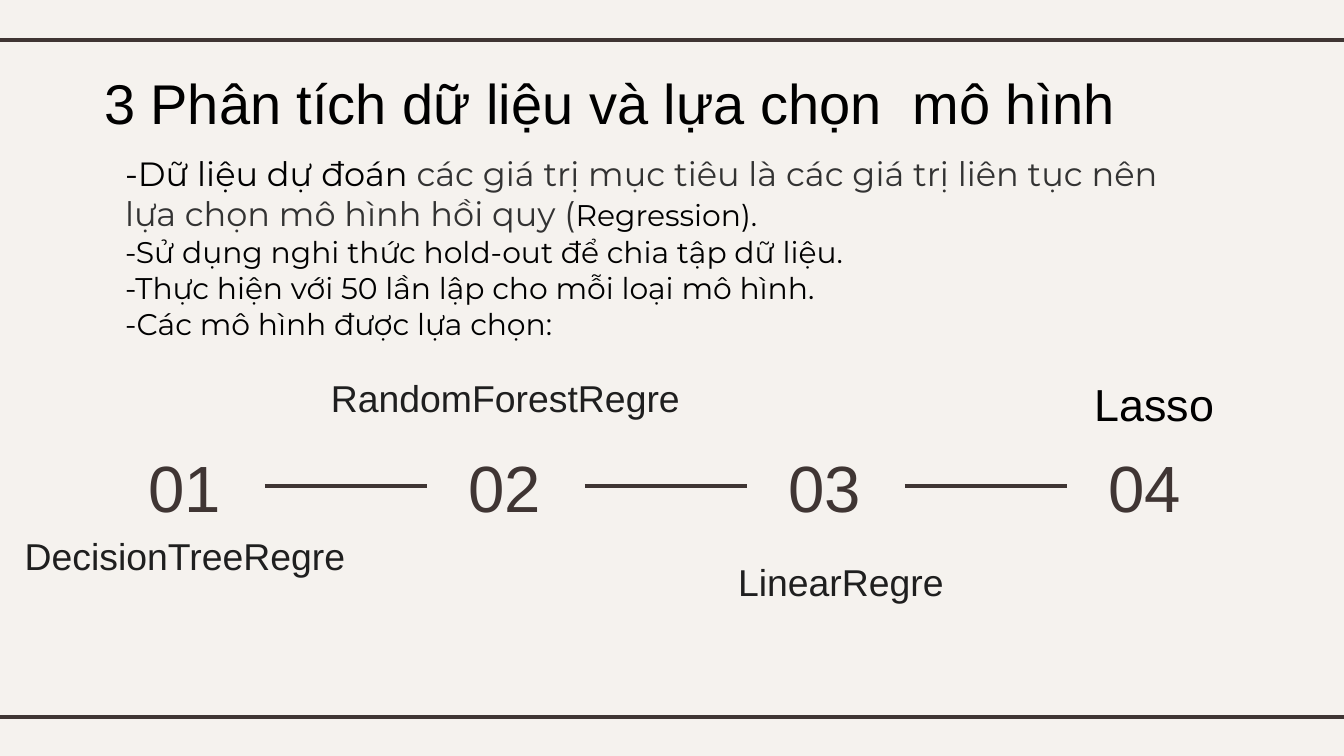
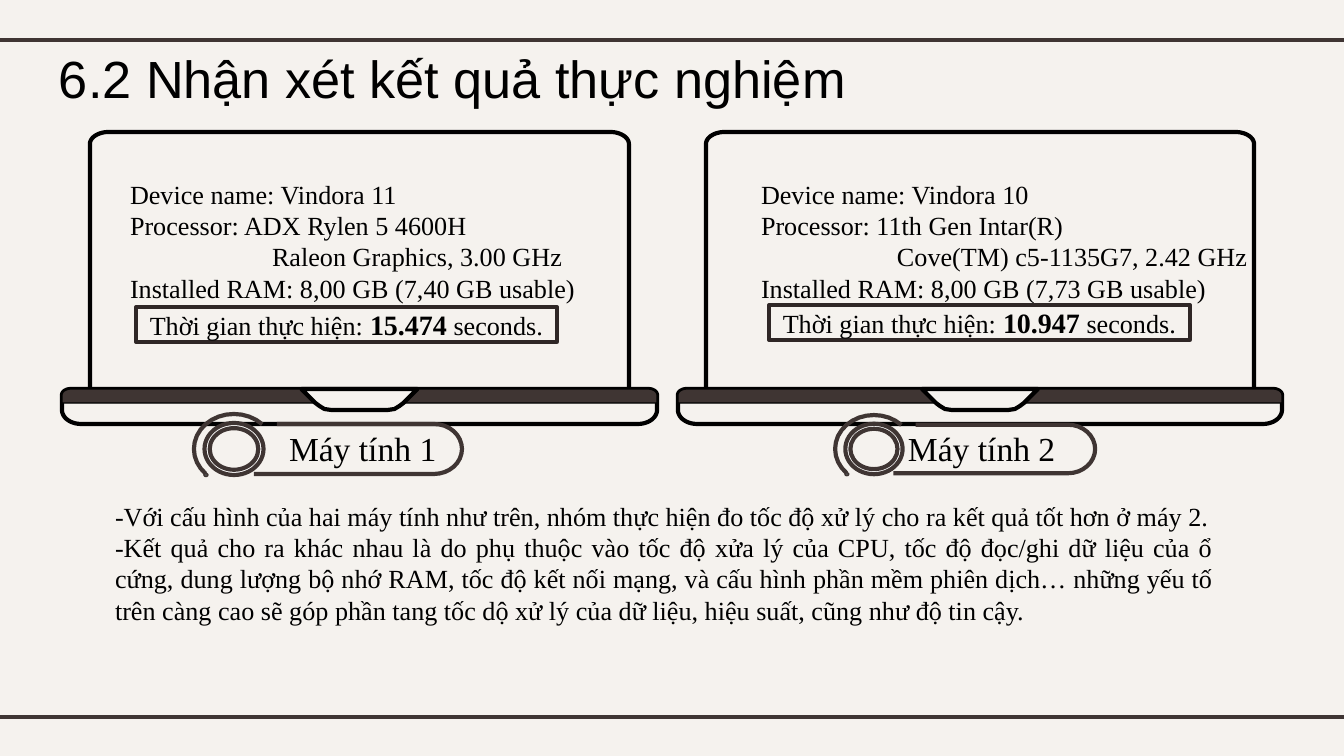
from math import cos, radians, sin

from lxml.etree import SubElement
from pptx import Presentation
from pptx.dml.color import RGBColor
from pptx.enum.shapes import MSO_CONNECTOR, MSO_SHAPE
from pptx.enum.text import MSO_ANCHOR, PP_ALIGN
from pptx.oxml.ns import qn
from pptx.util import Pt

SCALE = 914400 / 134.4
PAGE_WIDTH, PAGE_HEIGHT = 1344, 756
BAND_TOPS = (40, 717)
PAPER, BROWN, BLACK = "F5F2EE", "3F3533", "000000"
FRAME_BROWN, WHITE, DOT_GRAY = "2F2726", "FFFFFF", "545454"
TITLE = {"name": "Arial", "size": 30, "color": BLACK}
LABEL = {"name": "Arial", "size": 20, "color": "1F1F1F"}
NUMBER = {"name": "Arial", "size": 35, "color": BROWN}
INTRO = {"name": "Montserrat", "size": 16, "color": BLACK}
SERIF = {"name": "Times New Roman", "size": 14, "color": BLACK}
MIDDLE = {"vertical_anchor": MSO_ANCHOR.MIDDLE}

MODEL_TITLE = "3 Phân tích dữ liệu và lựa chọn  mô hình"
MODEL_INTRO = [
    [
        ("-Dữ liệu dự đoán ", {"size": 18}),
        (
            "các giá trị mục tiêu là các giá trị liên tục nên lựa chọn mô hình hồi quy (",
            {"size": 18, "color": "333333"},
        ),
        ("Regression).", {}),
    ],
    "-Sử dụng nghi thức hold-out để chia tập dữ liệu.",
    "-Thực hiện với 50 lần lập cho mỗi loại mô hình.",
    "-Các mô hình được lựa chọn:",
]
MODELS = [
    ("01", "DecisionTreeRegre", (0, 530, 370, 52), {}),
    ("02", "RandomForestRegre", (250, 359, 511, 77), {}),
    ("03", "LinearRegre", (644, 556, 394, 52), {}),
    ("04", "Lasso", (1028, 378, 253, 52), {"size": 24, "color": BLACK}),
]
FIRST_CENTER, MODEL_STEP = 185, 320

RESULT_TITLE = "6.2 Nhận xét kết quả thực nghiệm"
COMPUTERS = [
    {
        "name": "Máy tính 1",
        "name_left": 276,
        "laptop": (62, 595),
        "badge": (234, 449, 1),
        "specs_left": 40,
        "specs": [
            ("Device name: Vindora 11", 77),
            ("Processor: ADX Rylen 5 4600H", 77),
            ("Raleon Graphics, 3.00 GHz", 219),
            ("Installed RAM: 8,00 GB (7,40 GB usable)", 77),
        ],
        "time": "15.474",
        "time_at": (136, 307),
    },
    {
        "name": "Máy tính 2",
        "name_left": 895,
        "laptop": (678, 604),
        "badge": (874, 449, 0.97),
        "specs_left": 671,
        "specs": [
            ("Device name: Vindora 10", 77),
            ("Processor: 11th Gen Intar(R)", 77),
            ("Cove(TM) c5-1135G7, 2.42 GHz", 213),
            ("Installed RAM: 8,00 GB (7,73 GB usable)", 77),
        ],
        "time": "10.947",
        "time_at": (769, 305),
    },
]
REMARKS = [
    "-Với cấu hình của hai máy tính như trên, nhóm thực hiện đo tốc độ xử lý "
    "cho ra kết quả tốt hơn ở máy 2.",
    "-Kết quả cho ra khác nhau là do phụ thuộc vào tốc độ xửa lý của CPU, "
    "tốc độ đọc/ghi dữ liệu của ổ cứng, dung lượng bộ nhớ RAM, tốc độ kết nối mạng, "
    "và cấu hình phần mềm phiên dịch… những yếu tố trên càng cao sẽ góp phần tang "
    "tốc dộ xử lý của dữ liệu, hiệu suất, cũng như độ tin cậy.",
]


def px(length):
    return round(length * SCALE)


def color(value):
    return RGBColor.from_string(value)


def set_all(target, values):
    for name, value in values.items():
        setattr(target, name, value)


def write(frame, paras, font, align=PP_ALIGN.LEFT, inset=(13, 7), **frame_format):
    across, down = map(px, inset)
    set_all(frame, {
        "word_wrap": True,
        "vertical_anchor": MSO_ANCHOR.TOP,
        "margin_left": across,
        "margin_right": across,
        "margin_top": down,
        "margin_bottom": down,
        **frame_format,
    })
    for index, runs in enumerate(paras):
        para = frame.add_paragraph() if index else frame.paragraphs[0]
        para.alignment = align
        for text, changes in [(runs, {})] if isinstance(runs, str) else runs:
            span = para.add_run()
            span.text = text
            look = {**font, **changes}
            span.font.color.rgb = color(look.pop("color"))
            look["size"] = Pt(look["size"])
            set_all(span.font, look)


def add_text(page, at, paras, font, **options):
    box = page.shapes.add_textbox(*map(px, at))
    write(box.text_frame, paras, font, **options)
    return box


def add_title(page, at, text, size, inset):
    title = page.shapes.title
    set_all(title, dict(zip(("left", "top", "width", "height"), map(px, at))))
    write(title.text_frame, [text], {**TITLE, "size": size}, inset=inset)


def add_rule(page, left, right, top):
    rule = page.shapes.add_connector(MSO_CONNECTOR.STRAIGHT, *map(px, (left, top, right, top)))
    rule.line.color.rgb = color(BROWN)
    rule.line.width = Pt(2.25)
    SubElement(rule._element.spPr, qn("a:effectLst"))
    return rule


def paint(shape, fill, line, weight):
    shape.shadow.inherit = False
    if fill:
        shape.fill.solid()
        shape.fill.fore_color.rgb = color(fill)
    else:
        shape.fill.background()
    shape.line.color.rgb = color(line)
    shape.line.width = Pt(weight)


def add_preset(page, kind, at, fill, line, weight):
    shape = page.shapes.add_shape(kind, *map(px, at))
    paint(shape, fill, line, weight)
    return shape


def add_outline(page, points, fill=None, line=BLACK, weight=2.25, close=True):
    start, *rest = [(px(x), px(y)) for x, y in points]
    builder = page.shapes.build_freeform(*start)
    builder.add_line_segments(rest, close=close)
    paint(builder.convert_to_shape(), fill, line, weight)


def arc(center_x, center_y, radius_x, radius_y, start, sweep, steps=16):
    angles = [radians(start + sweep * step / steps) for step in range(steps + 1)]
    return [(center_x + radius_x * cos(a), center_y + radius_y * sin(a)) for a in angles]


def mirrored(left_half, left, width):
    right_half = [(width - x, y) for x, y in reversed(left_half)]
    return [(left + x, y) for x, y in left_half + right_half]


def add_laptop(page, left, width):
    screen = [(28, 395)] + arc(47, 144, 19, 12, 180, 90)
    base_top = arc(9, 395, 9, 6, 180, 90)
    base = arc(19, 410, 19, 14, 90, 90) + base_top
    strip = [(0, 403)] + base_top
    middle = width / 2
    notch = [(middle - x, y) for x, y in
             ((58, 389), (44, 403), (40, 406), (35, 409), (28, 410))]
    add_outline(page, mirrored(screen, left, width))
    add_outline(page, mirrored(base, left, width))
    add_outline(page, mirrored(strip, left, width), BROWN, weight=0.75)
    add_outline(page, mirrored(notch, left, width), PAPER)


def add_badge(page, center_x, center_y, ratio):
    def place(points):
        return [(center_x + x * ratio, center_y + y * ratio) for x, y in points]

    def centered(x, y, width, height):
        (left, top), = place([(x - width / 2, y - height / 2)])
        return left, top, width * ratio, height * ratio

    pill = [(20, 25)] + arc(200, 0, 28, 25, 90, -180) + [(43, -25)]
    add_outline(page, place(pill), line=BROWN, close=False)
    ring = add_preset(page, MSO_SHAPE.DONUT, centered(0, 0, 59, 52), WHITE, BROWN, 2.25)
    ring.adjustments[0] = 0.1
    add_outline(page, place(arc(0, 0, 40, 35, 135, 180)), line=BROWN, close=False)
    add_preset(page, MSO_SHAPE.OVAL, centered(-28, 26, 4, 3), DOT_GRAY, BROWN, 0.75)


def build_models(page):
    add_title(page, (91, 56, 1134, 85), MODEL_TITLE, 30, (13, 13))
    add_text(page, (112, 146, 1109, 208), MODEL_INTRO, INTRO)
    for index, (number, name, at, changes) in enumerate(MODELS):
        center = FIRST_CENTER + index * MODEL_STEP
        centered = {"align": PP_ALIGN.CENTER, "inset": (13, 13), **MIDDLE}
        add_text(page, (center - 80, 437, 160, 98), [number], NUMBER, **centered)
        add_text(page, at, [name], {**LABEL, **changes}, **centered)
        if index < len(MODELS) - 1:
            add_rule(page, center + 80, center + 242, 486)


def build_results(page):
    add_title(page, (46, 39, 952, 85), RESULT_TITLE, 28, (13, 7))
    add_text(page, (102, 493, 1125, 140), REMARKS, SERIF, align=PP_ALIGN.JUSTIFY)
    for computer in COMPUTERS:
        add_laptop(page, *computer["laptop"])
        add_badge(page, *computer["badge"])
        specs = computer["specs"]
        box = add_text(page, (computer["specs_left"], 171, 633, 140),
                       [text for text, _ in specs], SERIF, align=PP_ALIGN.JUSTIFY)
        for para, (_, indent) in zip(box.text_frame.paragraphs, specs):
            para._p.get_or_add_pPr().set("marL", str(px(indent)))
        add_text(page, (computer["name_left"], 421, 177, 50),
                 [computer["name"]], {**SERIF, "size": 18})
        timing = add_preset(page, MSO_SHAPE.RECTANGLE, (*computer["time_at"], 421, 35),
                            PAPER, FRAME_BROWN, 2)
        runs = [("Thời gian thực hiện: ", {}),
                (computer["time"], {"size": 15, "bold": True}),
                (" seconds.", {})]
        write(timing.text_frame, [runs], SERIF, align=PP_ALIGN.CENTER, inset=(0, 0), **MIDDLE)


def main():
    deck = Presentation()
    deck.slide_width, deck.slide_height = px(PAGE_WIDTH), px(PAGE_HEIGHT)
    backdrop = deck.slide_master.background.fill
    backdrop.solid()
    backdrop.fore_color.rgb = color(PAPER)
    layout = deck.slide_layouts[5]
    pages = [deck.slides.add_slide(layout) for _ in range(2)]
    for top in BAND_TOPS:
        band = add_rule(pages[0], 0, PAGE_WIDTH, top)
        layout.shapes._spTree.append(band._element)
    build_models(pages[0])
    build_results(pages[1])
    deck.save("out.pptx")


if __name__ == "__main__":
    main()
